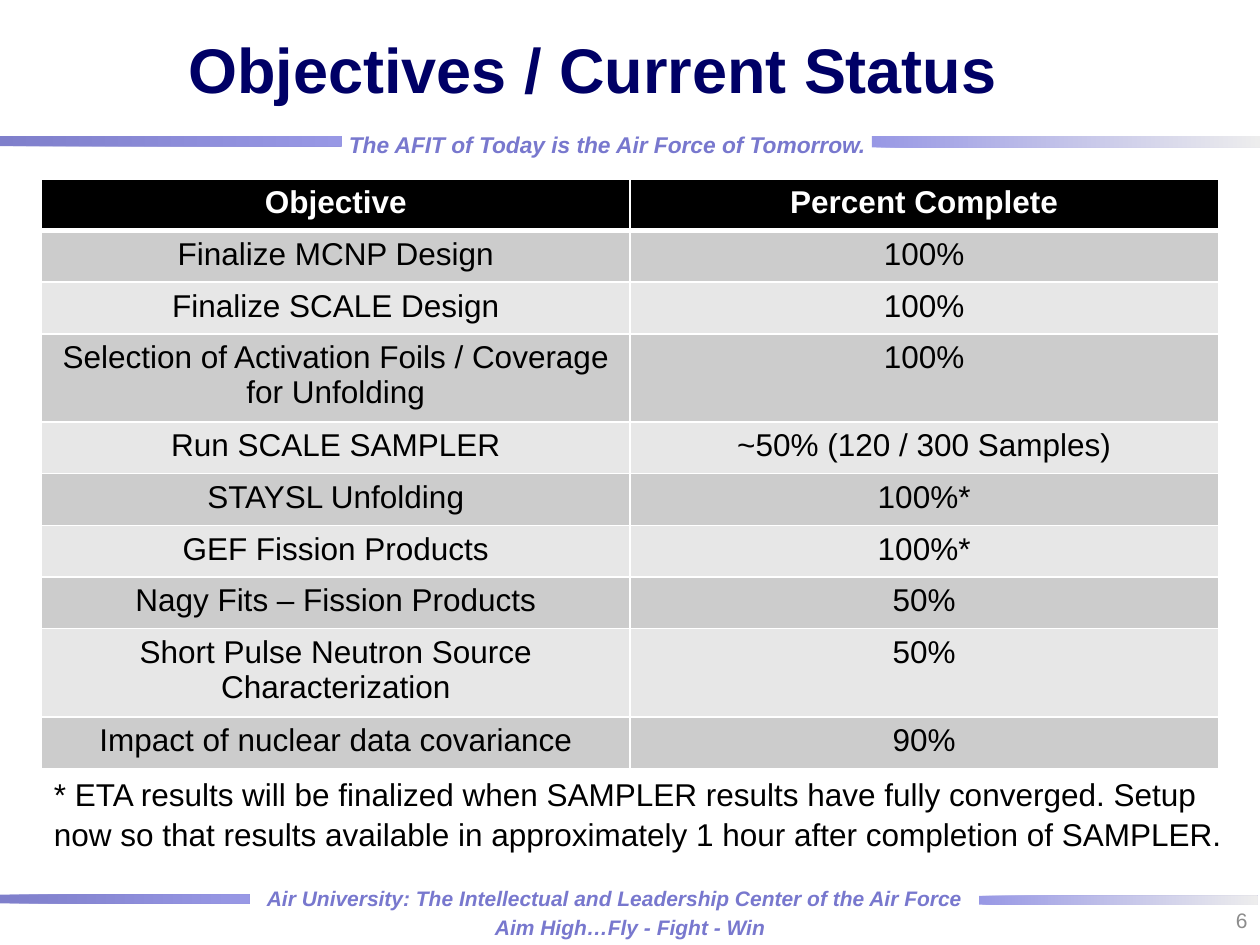
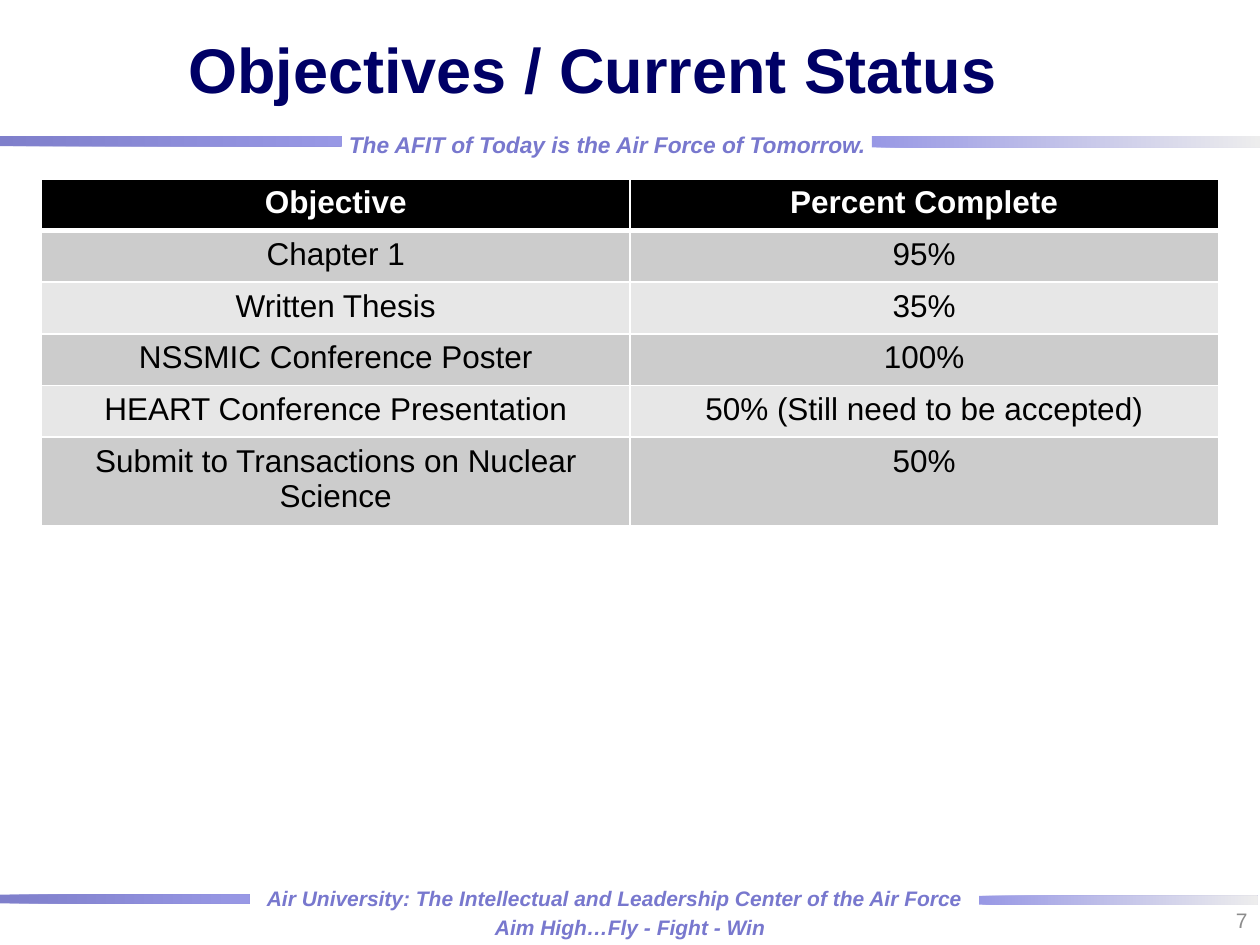
import pptx
import pptx.dml.color
import pptx.enum.shapes
import pptx.enum.text
import pptx.oxml
import pptx.oxml.ns
import pptx.util

Inches, Pt = pptx.util.Inches, pptx.util.Pt
ALIGN = pptx.enum.text.PP_ALIGN
MIDDLE = pptx.enum.text.MSO_ANCHOR.MIDDLE

WIDTH, HEIGHT = 10, 7.5
TITLE_ONLY = 5
FIRST_NUMBER = 6
HEADER = ("Objective", "Percent Complete")
SLIDES = [
    {
        "title": "Objectives / Current Status",
        "rows": [
            ("Finalize MCNP Design", "100%"),
            ("Finalize SCALE Design", "100%"),
            ("Selection of Activation Foils / Coverage for Unfolding", "100%"),
            ("Run SCALE SAMPLER", "~50% (120 / 300 Samples)"),
            ("STAYSL Unfolding", "100%*"),
            ("GEF Fission Products", "100%*"),
            ("Nagy Fits – Fission Products", "50%"),
            ("Short Pulse Neutron Source Characterization", "50%"),
            ("Impact of nuclear data covariance", "90%"),
        ],
        "note": "* ETA results will be finalized when SAMPLER results have fully "
                "converged. Setup now so that results available in approximately "
                "1 hour after completion of SAMPLER.",
    },
    {
        "title": "Objectives / Current Status",
        "rows": [
            ("Chapter 1", "95%"),
            ("Written Thesis", "35%"),
            ("NSSMIC Conference Poster", "100%"),
            ("HEART Conference Presentation", "50% (Still need to be accepted)"),
            ("Submit to Transactions on Nuclear Science", "50%"),
        ],
    },
]

# Shared frame: (left, top, width, height) in inches
NAVY_TO_BLUE = ("000099", "3333CC")
BLUE_TO_GREY = ("3333CC", "DDDDDD")
BANDS = [
    ((0, 1.08, 2.71, 0.08), NAVY_TO_BLUE),
    ((6.92, 1.08, 3.08, 0.09), BLUE_TO_GREY),
    ((0, 7.1, 1.98, 0.07), NAVY_TO_BLUE),
    ((7.77, 7.11, 2.21, 0.07), BLUE_TO_GREY),
]
MOTTOES = [
    ("The AFIT of Today is the Air Force of Tomorrow.", (2.67, 0.99, 4.35, 0.31), 13),
    ("Air University: The Intellectual and Leadership Center of the Air Force",
     (2.02, 6.98, 5.76, 0.29), 12),
    ("Aim High…Fly - Fight - Win", (3.83, 7.21, 2.36, 0.29), 12),
]
TITLE_BOX = (1.08, 0, 7.25, 1.08)
NUMBER_BOX = (7.67, 7.1, 2.33, 0.4)
NOTE_BOX = (0.33, 6.08, 9.67, 0.71)
TABLE_LEFT, TABLE_TOP, ROW_HEIGHT = 0.33, 1.42, 0.41
COLUMN_WIDTH = WIDTH / 2 - TABLE_LEFT

TITLE_STYLE = {"size": 36, "color": "000066", "bold": True}
MOTTO_STYLE = {"color": "7878CE", "bold": True, "italic": True}
NUMBER_STYLE = {"size": 12, "color": "8C8C8C"}
NOTE_STYLE = {"size": 18, "color": "000000"}
HEADER_STYLE = {"size": 18, "color": "FFFFFF", "bold": True}
BODY_STYLE = {"size": 18, "color": "000000", "bold": False}
HEADER_FILL, ROW_FILLS = "000000", ("CCCCCC", "E7E7E7")
THIN, THICK = 1, 3


def rgb(value):
    return pptx.dml.color.RGBColor.from_string(value)


def inches(box):
    return [Inches(length) for length in box]


def write(frame, text, style, align=ALIGN.LEFT):
    frame.text = text
    paragraph = frame.paragraphs[0]
    paragraph.alignment = align
    font = paragraph.runs[0].font
    font.name = "Arial"
    for name, value in style.items():
        if name == "color":
            font.color.rgb = rgb(value)
        else:
            setattr(font, name, Pt(value) if name == "size" else value)
    return paragraph


def add_text(slide, text, box, style, align=ALIGN.LEFT, wrap=True):
    shape = slide.shapes.add_textbox(*inches(box))
    shape.text_frame.word_wrap = wrap
    write(shape.text_frame, text, style, align)
    return shape


def add_band(slide, box, colors):
    shape = slide.shapes.add_shape(
        pptx.enum.shapes.MSO_SHAPE.RECTANGLE, *inches(box))
    shape.shadow.inherit = False
    shape.line.fill.background()
    shape.fill.gradient()
    shape.fill.gradient_angle = 0
    for stop, color in zip(shape.fill.gradient_stops, colors):
        stop.color.rgb = rgb(color)
    for color in shape.element.iter(pptx.oxml.ns.qn("a:srgbClr")):
        color.append(pptx.oxml.parse_xml(
            f'<a:alpha {pptx.oxml.ns.nsdecls("a")} val="50000"/>'))
    return shape


def move_frame_to_layout(slide):
    """Draw the bands and mottoes once and hand them to the slide's layout."""
    parts = [add_band(slide, box, colors) for box, colors in BANDS]
    for text, box, size in MOTTOES:
        parts.append(add_text(slide, text, box, {**MOTTO_STYLE, "size": size}, wrap=False))
    for part in parts:
        slide.slide_layout.shapes.element.append(part.element)


def set_borders(cell, top, bottom):
    properties = cell._tc.get_or_add_tcPr()
    for side, width in zip("LRTB", (THIN, THIN, top, bottom)):
        properties.append(pptx.oxml.parse_xml(
            f'<a:ln{side} {pptx.oxml.ns.nsdecls("a")} w="{Pt(width)}"><a:solidFill>'
            f'<a:srgbClr val="FFFFFF"/></a:solidFill></a:ln{side}>'))


def add_status_table(slide, body):
    rows = [HEADER, *body]
    box = (TABLE_LEFT, TABLE_TOP, 2 * COLUMN_WIDTH, ROW_HEIGHT * len(rows))
    table = slide.shapes.add_table(len(rows), len(HEADER), *inches(box)).table
    for row_index, row in enumerate(rows):
        is_header = row_index == 0
        table.rows[row_index].height = Inches(ROW_HEIGHT)
        for column_index, text in enumerate(row):
            cell = table.cell(row_index, column_index)
            set_borders(cell, THICK if row_index == 1 else THIN,
                        THICK if is_header else THIN)
            cell.fill.solid()
            cell.fill.fore_color.rgb = rgb(
                HEADER_FILL if is_header else ROW_FILLS[(row_index - 1) % 2])
            write(cell.text_frame, text,
                  HEADER_STYLE if is_header else BODY_STYLE, ALIGN.CENTER)


def add_status_slide(presentation, content, number):
    slide = presentation.slides.add_slide(presentation.slide_layouts[TITLE_ONLY])
    title = slide.shapes.title
    title.left, title.top, title.width, title.height = inches(TITLE_BOX)
    title.text_frame.vertical_anchor = MIDDLE
    write(title.text_frame, content["title"], TITLE_STYLE, ALIGN.CENTER)
    number_box = add_text(slide, str(number), NUMBER_BOX, NUMBER_STYLE, ALIGN.RIGHT)
    number_box.text_frame.vertical_anchor = MIDDLE
    add_status_table(slide, content["rows"])
    if "note" in content:
        note = add_text(slide, content["note"], NOTE_BOX, NOTE_STYLE)
        note.text_frame.paragraphs[0].line_spacing = 1.06
    return slide


def main():
    presentation = pptx.Presentation()
    presentation.slide_width, presentation.slide_height = inches((WIDTH, HEIGHT))
    slides = [add_status_slide(presentation, content, number)
              for number, content in enumerate(SLIDES, FIRST_NUMBER)]
    move_frame_to_layout(slides[0])
    presentation.save("out.pptx")


if __name__ == "__main__":
    main()
